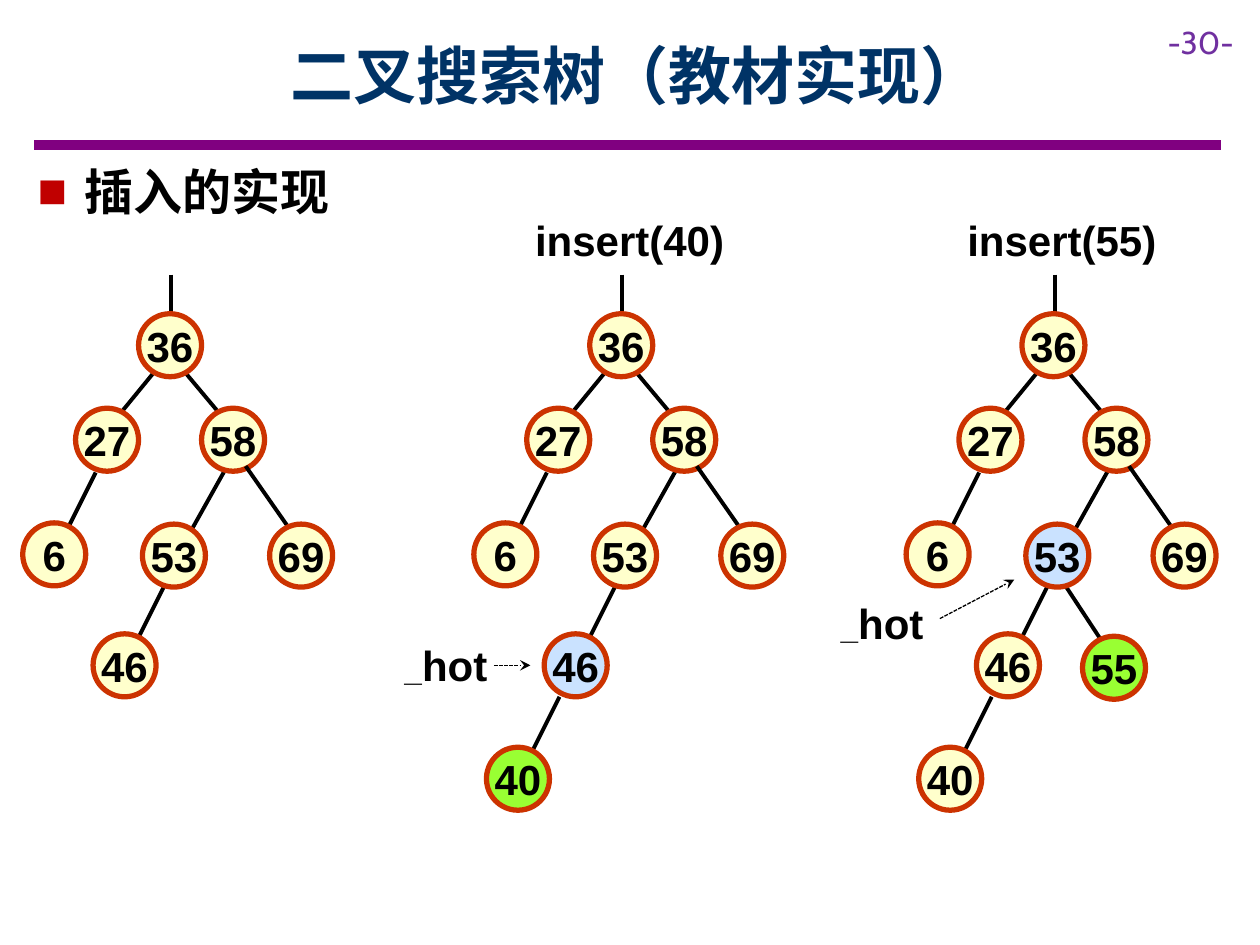
from dataclasses import dataclass

from pptx import Presentation
from pptx import util as u
from pptx.dml.color import RGBColor
from pptx.enum import dml, shapes, text
from pptx.oxml import ns
from lxml import etree

COLORS = {
    "ink": "000000", "title": "003366", "rule": "800080", "number": "7030A0",
    "bullet": "C00000", "outline": "CC3300", "plain": "FFFFCC",
    "hot": "CAE2FF", "new": "99FF33",
}
CJK = "Noto Sans CJK SC"
DIAMETER = 36


@dataclass(frozen=True)
class Node:
    """A circle and the edge into it, in points from the root's left and the slide's top."""
    key: int
    left: float
    top: float
    start: tuple[float, float]
    end: tuple[float, float]


@dataclass(frozen=True)
class Tree:
    left: float
    keys: set[int]
    caption: str = ""
    hot: int | None = None
    new: int | None = None
    hot_label: tuple[float, float] = (0, 0)
    arrow: tuple[float, float, float, float] = (0, 0, 0, 0)


# Children come before parents so that circles cover the edges leaving them;
# the edge to 69 lies over its parent.
NODES = [
    Node(40, -59, 427, (-17.3, 398.2), (-35.3, 434.2)),
    Node(46, -26, 362.2, (15.8, 332.6), (-2.2, 368.6)),
    Node(55, 34.6, 363.6, (18.7, 325.4), (49, 371.5)),
    Node(53, 2.2, 299.5, (49, 269.3), (25.2, 311.8)),
    Node(6, -66.2, 298.8, (-24.5, 270), (-42.5, 306)),
    Node(27, -36, 233.3, (11.5, 209.5), (-18, 245.5)),
    Node(58, 36, 233.3, (23.8, 209.5), (54, 245.5)),
    Node(36, 0, 179.3, (18.7, 157), (18.7, 187.2)),
    Node(69, 74.9, 299.5, (61.2, 266.4), (91.4, 309.6)),
]
FIRST_KEYS = {36, 27, 58, 6, 53, 69, 46}
TREES = [
    Tree(79.2, FIRST_KEYS),
    Tree(337, FIRST_KEYS | {40}, "insert(40)", 46, 40,
         (235.4, 370), (282.2, 380.2, 303.1, 380.2)),
    Tree(584, FIRST_KEYS | {40, 55}, "insert(55)", 53, 55,
         (484.6, 346.3), (537.1, 353.5, 579.6, 331.2)),
]


def rgb(name: str) -> RGBColor:
    return RGBColor.from_string(COLORS[name])


def style(para, size: float, color: str, face: str = "Arial", bold: bool = True) -> None:
    font = para.font
    font.name, font.size, font.bold = face, u.Pt(size), bold
    font.color.rgb = rgb(color)
    if face == CJK:
        defaults = para._p.pPr.find(ns.qn("a:defRPr"))
        etree.SubElement(defaults, ns.qn("a:ea"), typeface=face)


def add_line(page, start: tuple[float, float], end: tuple[float, float],
             width: float = 2.25, color: str = "ink"):
    line = page.shapes.add_connector(
        shapes.MSO_CONNECTOR.STRAIGHT, *(u.Pt(value) for value in (*start, *end)))
    line.line.width = u.Pt(width)
    line.line.color.rgb = rgb(color)
    etree.SubElement(line._element.spPr, ns.qn("a:effectLst"))
    return line


def add_arrow(page, start: tuple[float, float], end: tuple[float, float]) -> None:
    line = add_line(page, start, end, 0.75).line
    line.dash_style = dml.MSO_LINE.SQUARE_DOT
    etree.SubElement(line._get_or_add_ln(), ns.qn("a:tailEnd"), type="stealth")


def add_oval(page, left: float, top: float, width: float, height: float,
             fill: str | None = None):
    """Add an oval for unwrapped centred text and return its paragraph."""
    oval = page.shapes.add_shape(
        shapes.MSO_SHAPE.OVAL, *(u.Pt(value) for value in (left, top, width, height)))
    oval.shadow.inherit = False
    if fill:
        oval.fill.solid()
        oval.fill.fore_color.rgb = rgb(fill)
        oval.line.color.rgb = rgb("outline")
        oval.line.width = u.Pt(3)
    else:
        oval.fill.background()
        oval.line.fill.background()
    frame = oval.text_frame
    frame.margin_left = frame.margin_right = frame.margin_top = frame.margin_bottom = 0
    frame.word_wrap = False
    frame.vertical_anchor = text.MSO_ANCHOR.MIDDLE
    para = frame.paragraphs[0]
    para.alignment = text.PP_ALIGN.CENTER
    style(para, 24, "ink")
    return para


def add_text(page, words: str, left: float, top: float, width: float, height: float):
    box = page.shapes.add_textbox(*(u.Pt(value) for value in (left, top, width, height)))
    box.text_frame.word_wrap = True
    para = box.text_frame.paragraphs[0]
    para.text = words
    return box, para


def add_bullet(para) -> None:
    props = para._p.get_or_add_pPr()
    props.set("marL", str(u.Pt(27)))
    props.set("indent", str(u.Pt(-27)))
    tint = etree.SubElement(props, ns.qn("a:buClr"))
    etree.SubElement(tint, ns.qn("a:srgbClr"), val=COLORS["bullet"])
    etree.SubElement(props, ns.qn("a:buFont"), typeface="Arial")
    etree.SubElement(props, ns.qn("a:buChar"), char="■")


def draw_tree(page, tree: Tree) -> None:
    for node in NODES:
        if node.key not in tree.keys:
            continue
        start, end = ((tree.left + x, y) for x, y in (node.start, node.end))
        add_line(page, start, end)
        fill = {tree.hot: "hot", tree.new: "new"}.get(node.key, "plain")
        para = add_oval(page, tree.left + node.left, node.top, DIAMETER, DIAMETER, fill)
        para.add_run().text = str(node.key)
    if tree.caption:
        caption = add_oval(page, tree.left - 15, 128.2, 75.6, 17.3)
        caption.add_run().text = tree.caption
        label = add_oval(page, *tree.hot_label, 38.9, 19.4)
        for words, size in (("_", 18), ("hot", 24)):
            span = label.add_run()
            span.text = words
            span.font.size = u.Pt(size)
        add_arrow(page, tree.arrow[:2], tree.arrow[2:])


def main() -> None:
    deck = Presentation()
    deck.slide_width, deck.slide_height = u.Pt(720), u.Pt(540)
    page = deck.slides.add_slide(deck.slide_layouts[6])

    add_line(page, (19.5, 82.8), (697.7, 82.8), 6, "rule")
    _, number = add_text(page, "-30-", 660.2, 9.4, 59.8, 28.8)
    style(number, 18, "number", "Cabin", False)

    title_box, title = add_text(page, "二叉搜索树（教材实现）", 64.8, 6.5, 598.3, 72)
    title_box.text_frame.vertical_anchor = text.MSO_ANCHOR.MIDDLE
    title.alignment = text.PP_ALIGN.CENTER
    style(title, 36, "title", CJK)

    _, heading = add_text(page, "插入的实现", 14.4, 88.6, 380.2, 41)
    heading.space_after = u.Pt(6)
    add_bullet(heading)
    style(heading, 28, "ink", CJK)

    for tree in TREES:
        draw_tree(page, tree)
    deck.save("out.pptx")


if __name__ == "__main__":
    main()
